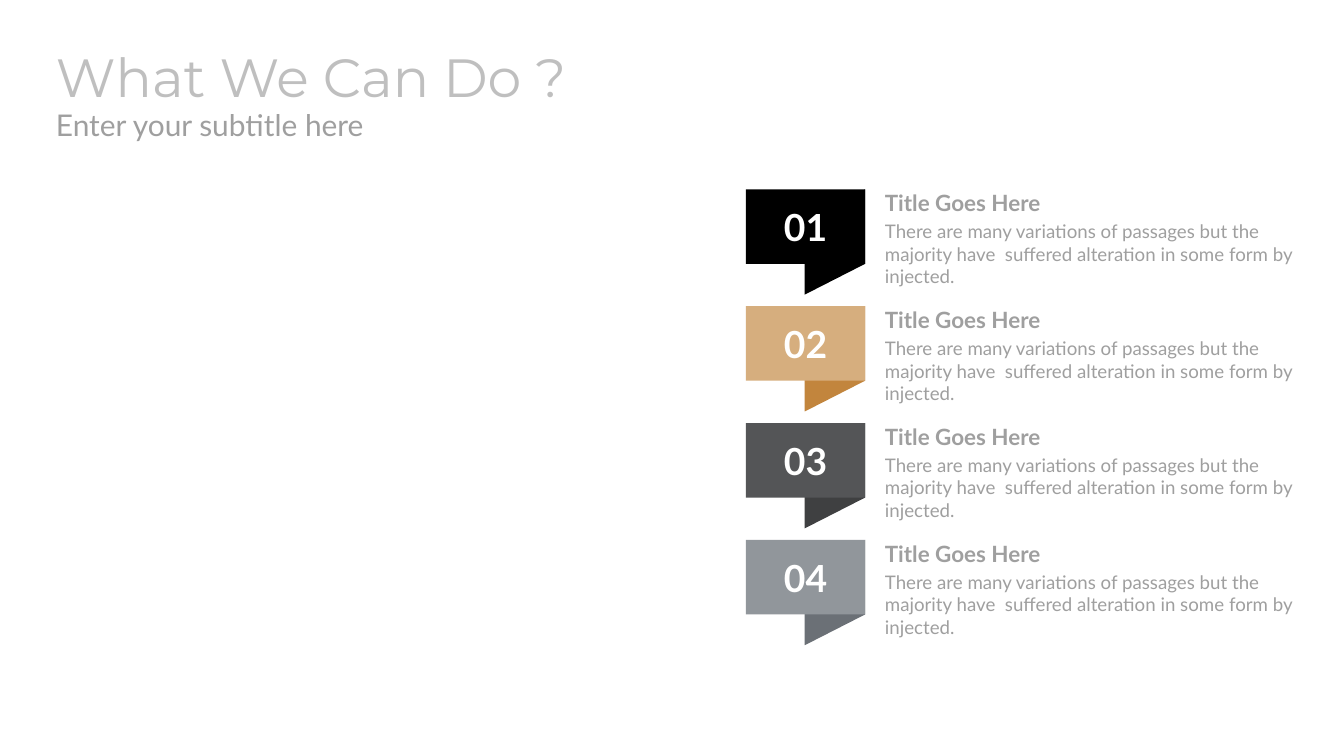
from pptx import Presentation
from pptx.dml.color import RGBColor
from pptx.enum.shapes import MSO_SHAPE
from pptx.enum.text import MSO_ANCHOR, MSO_AUTO_SIZE, PP_ALIGN
from pptx.util import Cm, Pt

RECTANGLE, PARALLELOGRAM = MSO_SHAPE.RECTANGLE, MSO_SHAPE.PARALLELOGRAM
TOP, MIDDLE = MSO_ANCHOR.TOP, MSO_ANCHOR.MIDDLE
LEFT, CENTER = PP_ALIGN.LEFT, PP_ALIGN.CENTER
GROW = MSO_AUTO_SIZE.SHAPE_TO_FIT_TEXT

COLORS = {
    "title": "BFBFBF",
    "body": "9F9F9F",
    "number": "FFFFFF",
    "black": "000000",
    "tan": "D6AE7E",
    "brown": "C2853D",
    "charcoal": "545557",
    "dark charcoal": "3F4041",
    "gray": "91969B",
    "dark gray": "6B7076",
}
FORMATS = {
    "title": {"name": "Montserrat", "size": Pt(76.8), "bold": False},
    "subtitle": {"name": "Lato", "size": Pt(42.7), "bold": False},
    "number": {"name": "Lato", "size": Pt(53.3), "bold": True},
    "heading": {"name": "Lato", "size": Pt(32), "bold": True},
    "description": {"name": "Lato", "size": Pt(26.7), "bold": False},
}
FORMAT_COLORS = {"title": "title", "number": "number"}

# Lengths in centimetres
MARGIN, HEADER_WIDTH = 2.82, 61.98
BADGE_LEFT, BADGE_WIDTH, BADGE_HEIGHT = 37.59, 6.02, 3.76
TAIL_WIDTH, TAIL_HEIGHT = 3.05, 5.31
FIRST_TOP, PITCH = 9.54, 5.89
ITEM_LEFT, ITEM_WIDTH, ITEM_HEIGHT = 44.6, 20.65, 5

HEADING = "Title Goes Here"
DESCRIPTION = ("There are many variations of passages but the majority have  "
               "suffered alteration in some form by injected.")
BADGE_COLORS = [
    ("black", "black"),
    ("tan", "brown"),
    ("charcoal", "dark charcoal"),
    ("gray", "dark gray"),
]


class SlideBuilder:
    """Holds the slide being built and its text and fill style."""

    def __init__(self, slide):
        self.slide = slide

    def fill_paragraph(self, paragraph, text, style, align=LEFT):
        paragraph.text = text
        paragraph.alignment = align
        for attribute, value in FORMATS[style].items():
            setattr(paragraph.font, attribute, value)
        color = COLORS[FORMAT_COLORS.get(style, "body")]
        paragraph.font.color.rgb = RGBColor.from_string(color)

    def text(self, left, top, width, height, lines, anchor=TOP):
        """Add a text box without insets; lines are (text, style) pairs."""
        box = self.slide.shapes.add_textbox(
            Cm(left), Cm(top), Cm(width), Cm(height))
        frame = box.text_frame
        layout = {"word_wrap": True, "vertical_anchor": anchor,
                  "margin_left": 0, "margin_top": 0,
                  "margin_right": 0, "margin_bottom": 0}
        for attribute, value in layout.items():
            setattr(frame, attribute, value)
        for index, (text, style) in enumerate(lines):
            paragraph = frame.add_paragraph() if index else frame.paragraphs[0]
            self.fill_paragraph(paragraph, text, style)
            if index:
                paragraph.space_before = Pt(5.5)
        return frame

    def block(self, shapes, preset, left, top, width, height, color):
        shape = shapes.add_shape(
            preset, Cm(left), Cm(top), Cm(width), Cm(height))
        shape.shadow.inherit = False
        shape.fill.solid()
        shape.fill.fore_color.rgb = RGBColor.from_string(COLORS[color])
        shape.line.fill.background()
        return shape

    def badge(self, top, number, color, tail_color):
        """Group a numbered rectangle with the folded tail behind it."""
        shapes = self.slide.shapes.add_group_shape().shapes
        # The tail lies on its side, so its box turns about its centre
        center_x = BADGE_LEFT + BADGE_WIDTH - TAIL_WIDTH / 2
        center_y = top + TAIL_HEIGHT / 2
        tail = self.block(shapes, PARALLELOGRAM, center_x - TAIL_HEIGHT / 2,
                          center_y - TAIL_WIDTH / 2, TAIL_HEIGHT, TAIL_WIDTH,
                          tail_color)
        tail.adjustments[0] = 0.51
        tail.rotation = 270
        tail._element.spPr.xfrm.set("flipV", "1")

        face = self.block(shapes, RECTANGLE, BADGE_LEFT, top,
                          BADGE_WIDTH, BADGE_HEIGHT, color)
        face.text_frame.vertical_anchor = MIDDLE
        self.fill_paragraph(face.text_frame.paragraphs[0], number, "number",
                            CENTER)

    def item(self, top):
        frame = self.text(ITEM_LEFT, top, ITEM_WIDTH, ITEM_HEIGHT,
                          [(HEADING, "heading"), (DESCRIPTION, "description")])
        frame.auto_size = GROW


def main():
    presentation = Presentation()
    presentation.slide_width = Cm(67.74)
    presentation.slide_height = Cm(38.1)
    builder = SlideBuilder(
        presentation.slides.add_slide(presentation.slide_layouts[6]))

    subtitle = builder.text(MARGIN, 5.72, HEADER_WIDTH, 1.3,
                            [("Enter your subtitle here", "subtitle")], MIDDLE)
    subtitle.paragraphs[0].line_spacing = 0.9
    builder.text(MARGIN, 2.49, HEADER_WIDTH, 2.64,
                 [("What We Can Do ?", "title")], MIDDLE)

    for index, (color, tail_color) in enumerate(BADGE_COLORS):
        top = FIRST_TOP + index * PITCH
        builder.badge(top, f"{index + 1:02}", color, tail_color)
        builder.item(top)

    presentation.save("out.pptx")


if __name__ == "__main__":
    main()
